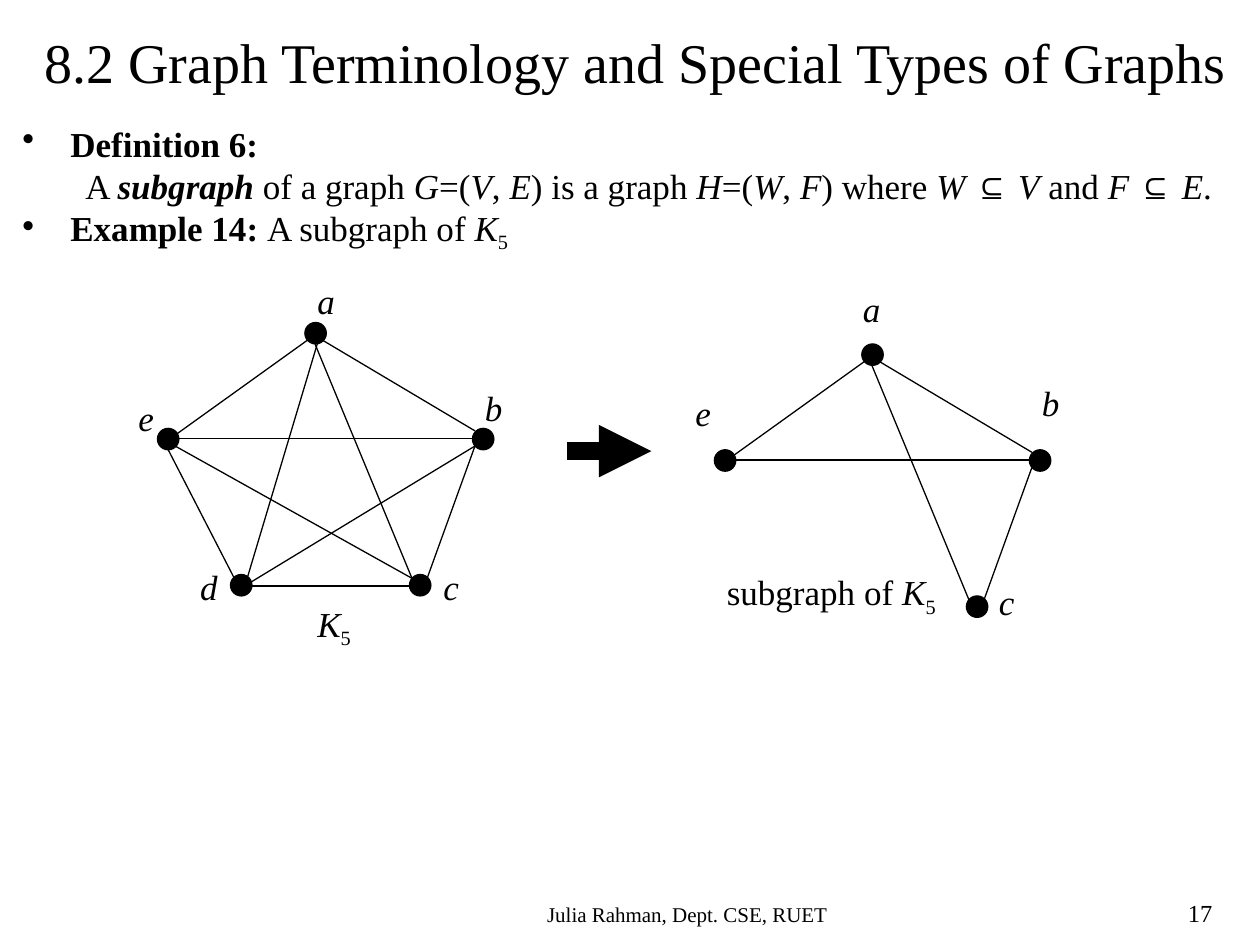
"""Build a slide that shows K5 beside one of its subgraphs."""
from dataclasses import dataclass

from lxml import etree
from pptx import Presentation
from pptx.dml.color import RGBColor
from pptx.enum.shapes import MSO_CONNECTOR, MSO_SHAPE
from pptx.enum.text import MSO_ANCHOR, PP_ALIGN
from pptx.oxml.ns import qn
from pptx.util import Inches, Pt

STRAIGHT = MSO_CONNECTOR.STRAIGHT
OVAL = MSO_SHAPE.OVAL
LEFT, CENTER = PP_ALIGN.LEFT, PP_ALIGN.CENTER
TOP = MSO_ANCHOR.TOP
BLACK = RGBColor(0, 0, 0)
FONT = "Times New Roman"
DOT = 0.17


@dataclass(frozen=True)
class Span:
    text: str
    style: str = ""


@dataclass(frozen=True)
class Label:
    left: float
    top: float
    width: float
    spans: tuple[Span, ...]


@dataclass(frozen=True)
class Graph:
    shift_x: float
    shift_y: float
    vertices: str
    edges: tuple[str, ...]
    labels: tuple[Label, ...]


VERTICES = {"a": (2.42, 2.56), "e": (1.25, 3.4), "d": (1.83, 4.56),
            "c": (3.25, 4.56), "b": (3.75, 3.4)}
EDGES = {
    "ae": (2.44, 2.7, 1.27, 3.54), "ed": (1.33, 3.56, 1.86, 4.59),
    "ad": (2.56, 2.59, 1.92, 4.73), "ac": (2.5, 2.73, 3.27, 4.59),
    "ab": (2.56, 2.7, 3.77, 3.42), "bc": (3.77, 3.54, 3.39, 4.59),
    "eb": (1.42, 3.48, 3.92, 3.48), "ec": (1.39, 3.54, 3.27, 4.59),
    "bd": (3.77, 3.54, 1.86, 4.7), "dc": (2, 4.65, 3.25, 4.65),
}
K5 = (Span("K", "i"), Span("5", "s"))


def letter(name: str, left: float, top: float) -> Label:
    return Label(left, top, 0.34, (Span(name, "i"),))


GRAPHS = (
    Graph(0, 0, "aedcb", tuple(EDGES), (
        letter("a", 2.42, 2.17), letter("b", 3.75, 3.02), letter("c", 3.42, 4.44),
        letter("d", 1.49, 4.44), letter("e", 1, 3.1), Label(2.42, 4.73, 0.5, K5))),
    Graph(4.42, 0.17, "aecb", ("ae", "ac", "ab", "bc", "eb"), (
        letter("a", 6.75, 2.23), letter("b", 8.17, 2.98), letter("c", 7.83, 4.56),
        letter("e", 5.42, 3.06),
        Label(5.67, 4.48, 1.9, (Span("subgraph of "), *K5)))),
)
DEFINITION = (
    Span("A "), Span("subgraph", "bi"), Span(" of a graph "), Span("G", "i"),
    Span("=("), Span("V", "i"), Span(", "), Span("E", "i"), Span(") is a graph "),
    Span("H", "i"), Span("=("), Span("W", "i"), Span(", "), Span("F", "i"),
    Span(") where "), Span("W ", "i"), Span("⊆ "), Span("V", "i"), Span(" and "),
    Span("F", "i"), Span(" ⊆ "), Span("E", "i"), Span("."),
)
BODY = (
    (True, (Span("Definition 6:", "b"),)),
    (False, DEFINITION),
    (True, (Span("Example 14: ", "b"), Span("A subgraph of "), *K5)),
)


def write_spans(paragraph, spans: tuple[Span, ...], size: float = 20) -> None:
    for span in spans:
        run = paragraph.add_run()
        run.text = span.text
        run.font.name = FONT
        run.font.size = Pt(size)
        run.font.color.rgb = BLACK
        run.font.bold = "b" in span.style
        run.font.italic = "i" in span.style
        if "s" in span.style:
            run.font._element.set("baseline", "-25000")


def add_text(shapes, label: Label, height: float = 0.44, size: float = 20,
             wrap: bool = False, align: PP_ALIGN = LEFT):
    box = shapes.add_textbox(Inches(label.left), Inches(label.top),
                             Inches(label.width), Inches(height))
    frame = box.text_frame
    frame.word_wrap = wrap
    frame.paragraphs[0].alignment = align
    write_spans(frame.paragraphs[0], label.spans, size)
    return frame


def add_line(shapes, ends: tuple[float, ...], width: float = 0.75):
    line = shapes.add_connector(STRAIGHT, *(Inches(end) for end in ends))
    line.line.color.rgb = BLACK
    line.line.width = Pt(width)
    etree.SubElement(line._element.spPr, qn("a:effectLst"))
    return line


def add_dot(shapes, left: float, top: float) -> None:
    dot = shapes.add_shape(OVAL, Inches(left), Inches(top), Inches(DOT), Inches(DOT))
    dot.shadow.inherit = False
    dot.fill.solid()
    dot.fill.fore_color.rgb = BLACK
    dot.line.color.rgb = BLACK
    dot.line.width = Pt(0.75)


def add_graph(page, graph: Graph) -> None:
    shapes = page.shapes.add_group_shape().shapes
    shift = (graph.shift_x, graph.shift_y)
    for name in graph.edges:
        add_line(shapes, tuple(end + move for end, move in zip(EDGES[name], shift * 2)))
    for label in graph.labels:
        add_text(shapes, label)
    for name in graph.vertices:
        left, top = VERTICES[name]
        add_dot(shapes, left + graph.shift_x, top + graph.shift_y)


def add_body(page) -> None:
    frame = add_text(page.shapes, Label(0.08, 0.92, 9.92, ()), 5.49, wrap=True)
    for index, (bulleted, spans) in enumerate(BODY):
        paragraph = frame.add_paragraph() if index else frame.paragraphs[0]
        properties = paragraph._p.get_or_add_pPr()
        properties.set("marL", str(Inches(0.38 if bulleted else 0.5)))
        properties.set("indent", str(Inches(-0.38 if bulleted else 0)))
        if bulleted:
            etree.SubElement(properties, qn("a:buChar"), char="•")
        write_spans(paragraph, spans)


def add_title(page) -> None:
    title = page.shapes.title
    title.left, title.top = Inches(0.25), Inches(0.17)
    title.width, title.height = Inches(9.67), Inches(0.64)
    frame = title.text_frame
    frame.word_wrap = False
    frame.vertical_anchor = TOP
    frame.paragraphs[0].alignment = LEFT
    write_spans(frame.paragraphs[0],
                (Span("8.2 Graph Terminology and Special Types of Graphs"),), 32)


def add_arrow(page) -> None:
    arrow = add_line(page.shapes, (4.5, 3.58, 5.17, 3.58), 10)
    etree.SubElement(arrow.line._get_or_add_ln(), qn("a:tailEnd"), type="triangle")


def main() -> None:
    deck = Presentation()
    deck.slide_width, deck.slide_height = Inches(10), Inches(7.5)
    page = deck.slides.add_slide(deck.slide_layouts[5])
    add_title(page)
    add_body(page)
    for graph in GRAPHS:
        add_graph(page, graph)
    add_arrow(page)
    footer = Label(2.58, 7.11, 5.75, (Span("Julia Rahman, Dept. CSE, RUET"),))
    add_text(page.shapes, footer, 0.3, 12, True, CENTER)
    add_text(page.shapes, Label(9.33, 7.08, 0.67, (Span("17"),)), 0.33, 14, True)
    deck.save("out.pptx")


if __name__ == "__main__":
    main()
